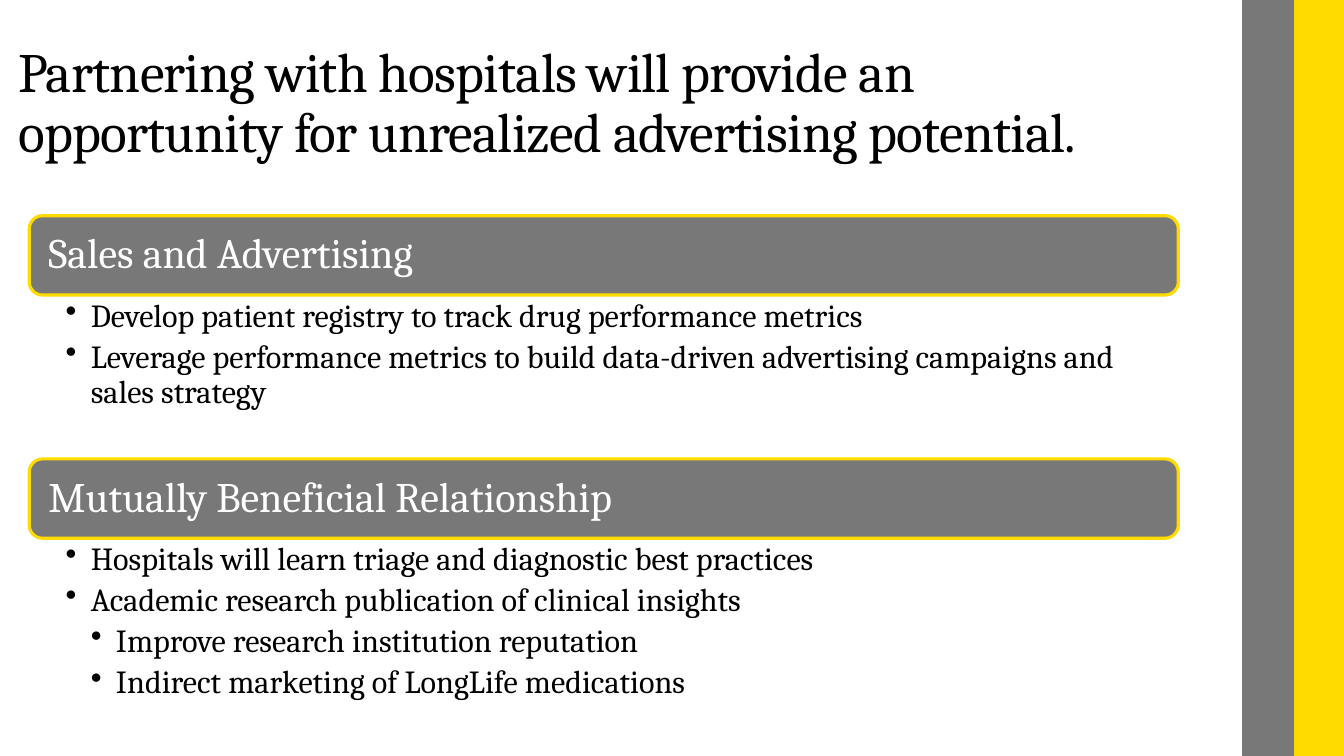
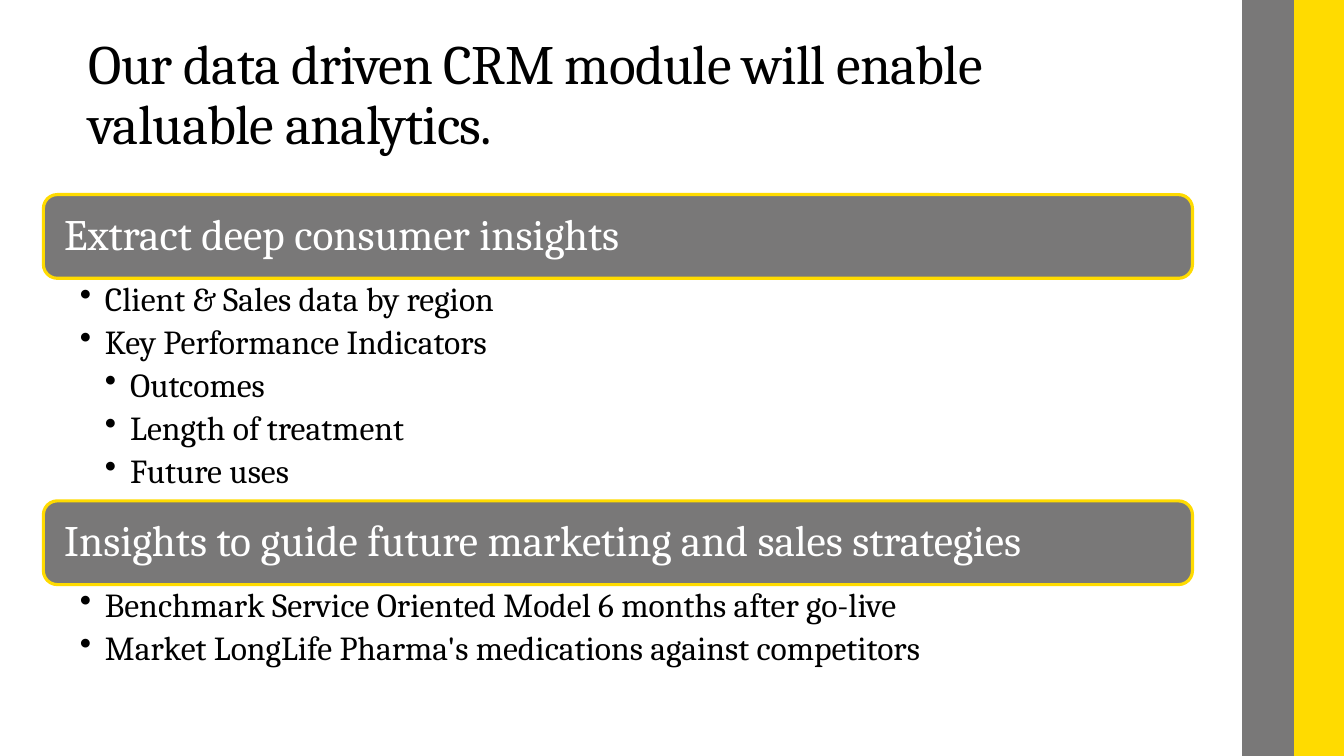
"""Build two slides on hospital partnering and customer analytics."""
from pptx import Presentation
from pptx.dml.color import RGBColor
from pptx.enum.shapes import MSO_SHAPE as Kind
from pptx.enum.text import MSO_ANCHOR as Anchor, MSO_AUTO_SIZE as Fit, PP_ALIGN as Align
from pptx.oxml.ns import qn
from pptx.util import Pt
from lxml.etree import SubElement as Sub

BLACK = RGBColor(0x00, 0x00, 0x00)
WHITE = RGBColor(0xFF, 0xFF, 0xFF)
GREY = RGBColor(0x79, 0x78, 0x78)
GOLD = RGBColor(0xFF, 0xDB, 0x00)
FONT = "Cambria"
WIDE, HIGH = 960, 540
BAND = 36
BAR = 820.8
STEP = 18

SLIDES = [
    {
        "title": "Partnering with hospitals will provide an opportunity for "
                 "unrealized advertising potential.",
        "box": (5.8, 15.1, 895, 105.8),
        "left": 20.9, "bar": 56.7, "pad": 11, "head": 30, "size": 23,
        "parts": [
            (154.1, 117.4, "Sales and Advertising", [
                (1, "Develop patient registry to track drug performance metrics"),
                (1, "Leverage performance metrics to build data-driven advertising "
                    "campaigns and sales strategy"),
            ]),
            (327.8, 122.4, "Mutually Beneficial Relationship", [
                (1, "Hospitals will learn triage and diagnostic best practices"),
                (1, "Academic research publication of clinical insights"),
                (2, "Improve research institution reputation"),
                (2, "Indirect marketing of LongLife medications"),
            ]),
        ],
    },
    {
        "title": "Our data driven CRM module will enable valuable analytics.",
        "box": (56.2, 49.7, 763.2, 65.5),
        "left": 31, "bar": 59.8, "pad": 12, "head": 31, "size": 24,
        "parts": [
            (139, 159, "Extract deep consumer insights", [
                (1, "Client & Sales data by region"),
                (1, "Key Performance Indicators"),
                (2, "Outcomes"),
                (2, "Length of treatment"),
                (2, "Future uses"),
            ]),
            (357.8, 65.5, "Insights to guide future marketing and sales strategies", [
                (1, "Benchmark Service Oriented Model 6 months after go-live"),
                (1, "Market LongLife Pharma's medications against competitors"),
            ]),
        ],
    },
]


def write(para, text, size, color):
    para.alignment = Align.LEFT
    para.line_spacing = 0.9
    run = para.add_run()
    run.text = text
    run.font.name = FONT
    run.font.size = Pt(size)
    run.font.color.rgb = color
    return run


def setup(shape, anchor, pads):
    frame = shape.text_frame
    frame.word_wrap = True
    frame.auto_size = Fit.NONE
    frame.vertical_anchor = anchor
    (frame.margin_left, frame.margin_top,
     frame.margin_right, frame.margin_bottom) = map(Pt, pads)
    return frame


def block(slide, kind, box, fill, line, width):
    shape = slide.shapes.add_shape(kind, *map(Pt, box))
    shape.shadow.inherit = False
    shape.fill.solid()
    shape.fill.fore_color.rgb = fill
    shape.line.color.rgb = line
    shape.line.width = Pt(width)
    return shape


def add_title(slide, text, box):
    title = slide.shapes.title
    title.left, title.top, title.width, title.height = map(Pt, box)
    frame = setup(title, Anchor.BOTTOM, (7.2, 3.6, 80, 3.6))
    run = write(frame.paragraphs[0], text, 39.6, BLACK)
    run.font._element.set("spc", "-50")


def add_list(slide, box, items, size):
    shape = slide.shapes.add_textbox(*map(Pt, box))
    frame = setup(shape, Anchor.TOP, (26, 3, 17, 3))
    for i, (level, text) in enumerate(items):
        para = frame.add_paragraph() if i else frame.paragraphs[0]
        write(para, text, size, BLACK)
        para.space_after = Pt(size * 0.2)
        props = para._p.get_or_add_pPr()
        props.set("marL", str(Pt(STEP * level)))
        props.set("indent", str(-Pt(STEP)))
        Sub(props, qn("a:buChar")).set("char", "•")


def add_part(slide, data, part):
    top, high, head, items = part
    left, bar, pad = data["left"], data["bar"], data["pad"]
    shape = block(slide, Kind.ROUNDED_RECTANGLE, (left, top, BAR, bar), GREY, GOLD, 2.25)
    frame = setup(shape, Anchor.MIDDLE, (pad, 0, pad, 0))
    write(frame.paragraphs[0], head, data["head"], WHITE)
    add_list(slide, (left, top + bar, BAR, high), items, data["size"])


def main():
    deck = Presentation()
    deck.slide_width, deck.slide_height = Pt(WIDE), Pt(HIGH)
    for data in SLIDES:
        slide = deck.slides.add_slide(deck.slide_layouts[5])
        add_title(slide, data["title"], data["box"])
        for i, color in enumerate((GOLD, GREY), 1):
            block(slide, Kind.RECTANGLE, (WIDE - i * BAND, 0, BAND, HIGH), color, color, 1.1)
        for part in data["parts"]:
            add_part(slide, data, part)
    deck.save("out.pptx")


if __name__ == "__main__":
    main()
